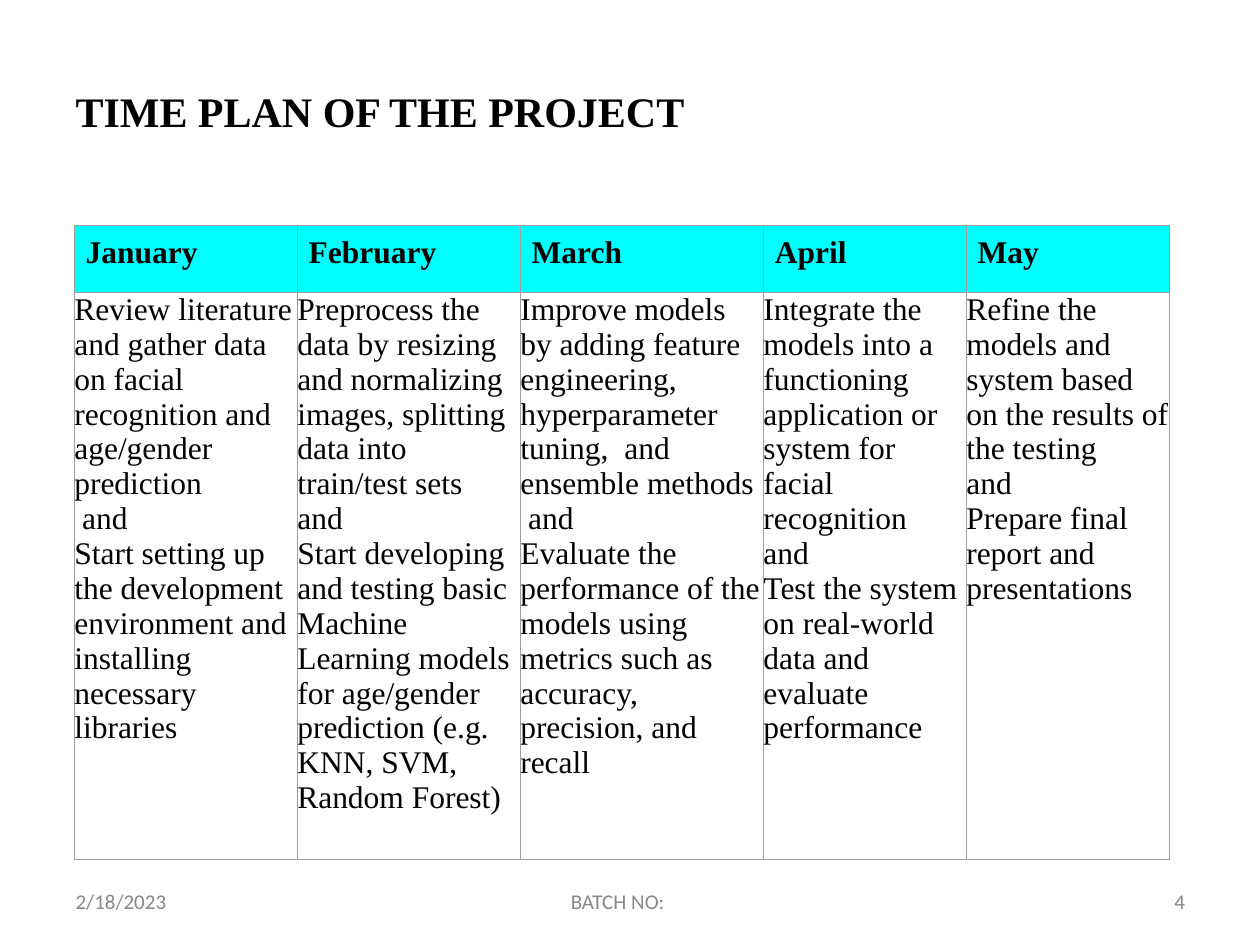
from lxml import etree
from pptx import Presentation
from pptx.dml.color import RGBColor
from pptx.enum.text import MSO_ANCHOR
from pptx.oxml.ns import qn
from pptx.util import Inches, Pt

BLACK = RGBColor(0x00, 0x00, 0x00)
GRAY = RGBColor(0x87, 0x87, 0x87)
CYAN = RGBColor(0x00, 0xFF, 0xFF)
BORDER_HEX = "9E9E9E"
TOP = MSO_ANCHOR.TOP

TITLE_FONT = {"name": "Times New Roman", "size": Pt(24), "bold": True}
HEADER_FONT = {"name": "Times New Roman", "size": Pt(18), "bold": True}
BODY_FONT = {"name": "Times New Roman", "size": Pt(18), "bold": False}
FOOTER_FONT = {"name": "Calibri", "size": Pt(12), "bold": False}

FOOTERS = [
    ("2/18/2023", 0.59, 0.8, 0.01),
    ("BATCH NO:", 4.52, 0.79, 0.01),
    ("4", 9.29, 0.14, 0.03),
]
COLUMN_WIDTHS = [1.77, 1.77, 1.93, 1.61, 1.61]
ROW_HEIGHTS = [0.53, 4.5]
PLAN = {
    "January": [
        "Review literature and gather data on facial recognition and age/gender prediction",
        " and",
        "Start setting up the development environment and installing necessary libraries",
    ],
    "February": [
        "Preprocess the data by resizing and normalizing images, splitting data into train/test sets",
        "and",
        "Start developing and testing basic Machine Learning models for age/gender prediction "
        "(e.g. KNN, SVM, Random Forest)",
    ],
    "March": [
        "Improve models by adding feature engineering, hyperparameter tuning,  and ensemble methods",
        " and",
        "Evaluate the performance of the models using metrics such as accuracy, precision, and recall",
    ],
    "April": [
        "Integrate the models into a functioning application or system for facial recognition",
        "and",
        "Test the system on real-world data and evaluate performance",
    ],
    "May": [
        "Refine the models and system based on the results of the testing",
        "and",
        "Prepare final report and presentations",
    ],
}


def set_margins(target, top=0):
    """Remove the inner margins of a text frame or cell, except the top one."""
    for side in ("left", "right", "bottom"):
        setattr(target, f"margin_{side}", 0)
    target.margin_top = Inches(top)


def write_paragraphs(text_frame, lines, font, color, indent=0, spacing=None):
    """Write one formatted paragraph for each line."""
    for index, line in enumerate(lines):
        paragraph = text_frame.paragraphs[0] if index == 0 else text_frame.add_paragraph()
        for name, value in (spacing or {}).items():
            setattr(paragraph, name, value)
        properties = paragraph._p.get_or_add_pPr()
        properties.set("marL", str(Inches(indent)))
        properties.set("indent", "0")
        run = paragraph.add_run()
        run.text = line
        for name, value in font.items():
            setattr(run.font, name, value)
        run.font.color.rgb = color


def add_text(slide, box, text, font, color, indent, spacing, top=0):
    """Add a one-line text box."""
    shape = slide.shapes.add_textbox(*map(Inches, box))
    shape.text_frame.word_wrap = False
    set_margins(shape.text_frame, top)
    write_paragraphs(shape.text_frame, [text], font, color, indent, spacing)


def add_footers(slide, top, height):
    """Place the date, batch label and page number on one line."""
    for text, left, width, indent in FOOTERS:
        add_text(slide, (left, top, width, height), text, FOOTER_FONT, GRAY,
                 indent, {"line_spacing": Pt(12.4)})


def set_borders(cell):
    """Draw a thin gray line on each side of a cell."""
    properties = cell._tc.get_or_add_tcPr()
    for index, tag in enumerate(("a:lnL", "a:lnR", "a:lnT", "a:lnB")):
        line = etree.Element(qn(tag), w=str(Pt(0.75)))
        fill = etree.SubElement(line, qn("a:solidFill"))
        etree.SubElement(fill, qn("a:srgbClr"), val=BORDER_HEX)
        properties.insert(index, line)


def add_plan_table(slide, left, top):
    """Build the month table with a header row and a row of tasks."""
    box = (left, top, sum(COLUMN_WIDTHS), sum(ROW_HEIGHTS))
    table = slide.shapes.add_table(2, len(PLAN), *map(Inches, box)).table
    for column, width in zip(table.columns, COLUMN_WIDTHS):
        column.width = Inches(width)
    for row, height in zip(table.rows, ROW_HEIGHTS):
        row.height = Inches(height)
    for index, (month, tasks) in enumerate(PLAN.items()):
        header, body = table.cell(0, index), table.cell(1, index)
        header.fill.solid()
        header.fill.fore_color.rgb = CYAN
        body.fill.background()
        set_margins(header, 0.08)
        set_margins(body)
        write_paragraphs(header.text_frame, [month], HEADER_FONT, BLACK, 0.09,
                         {"space_before": Pt(6)})
        write_paragraphs(body.text_frame, tasks, BODY_FONT, BLACK)
        for cell in (header, body):
            cell.vertical_anchor = TOP
            set_borders(cell)


def main():
    """Build and save the time plan slide."""
    presentation = Presentation()
    presentation.slide_width = Inches(10)
    presentation.slide_height = Inches(7.5)
    slide = presentation.slides.add_slide(presentation.slide_layouts[6])
    add_footers(slide, 7.08, 0.19)
    add_text(slide, (0.59, 0.67, 4.85, 0.43), "TIME PLAN OF THE PROJECT", TITLE_FONT,
             BLACK, 0.01, {"space_before": Pt(1)}, 0.01)
    add_plan_table(slide, 0.59, 1.79)
    presentation.save("out.pptx")


if __name__ == "__main__":
    main()
